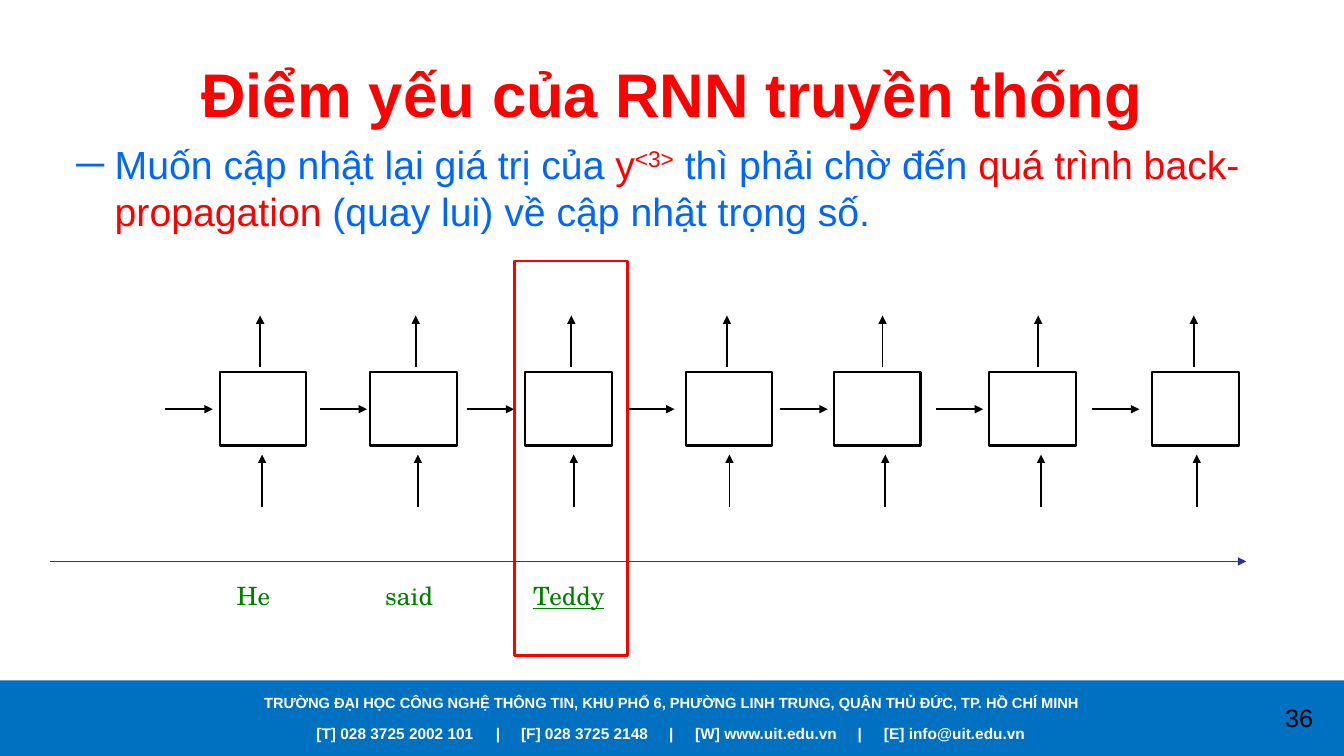
from dataclasses import dataclass

import pptx
import pptx.dml.color
import pptx.enum.shapes
import pptx.enum.text
import pptx.oxml
import pptx.oxml.ns
import pptx.util

Inches = pptx.util.Inches
Pt = pptx.util.Pt
qn = pptx.oxml.ns.qn
ALIGN = pptx.enum.text.PP_ALIGN
ANCHOR = pptx.enum.text.MSO_ANCHOR
RECTANGLE = pptx.enum.shapes.MSO_SHAPE.RECTANGLE


@dataclass(frozen=True)
class Theme:
    red: str = "FF0000"
    blue: str = "0066FF"
    green: str = "008000"
    black: str = "000000"
    white: str = "FFFFFF"
    footer: str = "0070C0"
    axis: str = "2F2F98"
    font: str = "Arial"
    word_font: str = "TeX Gyre Schola"
    title: float = 44
    body: float = 28
    label: float = 18
    contact: float = 11
    address: float = 10.5


THEME = Theme()

CELL_LEFTS = (2.18, 3.67, 5.21, 6.8, 8.27, 9.81, 11.43)
STATE_ARROW_LEFTS = (1.64, 3.17, 4.63, 6.22, 7.74, 9.28, 10.83)
WORDS = (("He", 2.25, 0.54, False), ("said", 3.72, 0.68, False), ("Teddy", 5.19, 0.92, True))
CONTACTS = ("[T] 028 3725 2002 101", "[F] 028 3725 2148", "[W] www.uit.edu.vn", "[E] info@uit.edu.vn")
CONTACT_TABS = (2.26, 3.28, 4.14, 5.0, 5.94, 6.87, 7.81)


def rgb(color):
    return pptx.dml.color.RGBColor.from_string(color)


def add_text(slide, box, runs, *, size, color=THEME.black, font=THEME.font, bold=False,
             underline=False, align=ALIGN.LEFT, anchor=ANCHOR.TOP, wrap=True, bullet=None, tabs=()):
    """Add one paragraph; runs is a string or a list of (text, color, baseline)."""
    shape = slide.shapes.add_textbox(*map(Inches, box))
    frame = shape.text_frame
    frame.word_wrap = wrap
    frame.vertical_anchor = anchor
    paragraph = frame.paragraphs[0]
    paragraph.alignment = align
    properties = paragraph._p.get_or_add_pPr()
    if bullet:
        properties.set("marL", str(Inches(0.38)))
        properties.set("indent", str(-Inches(0.38)))
        pptx.oxml.ns  # namespace helpers
        properties.append(new_element("a:buFont", typeface=THEME.font))
        properties.append(new_element("a:buChar", char=bullet))
    if tabs:
        tab_list = new_element("a:tabLst")
        for position in tabs:
            tab_list.append(new_element("a:tab", pos=str(Inches(position)), algn="ctr"))
        properties.append(tab_list)
    if isinstance(runs, str):
        runs = [(runs, color, 0)]
    for text, run_color, baseline in runs:
        run = paragraph.add_run()
        run.text = text
        run.font.name = font
        run.font.size = Pt(size)
        run.font.bold = bold
        run.font.underline = underline
        run.font.color.rgb = rgb(run_color)
        if baseline:
            run._r.get_or_add_rPr().set("baseline", str(baseline * 1000))


def new_element(tag, **attributes):
    element = pptx.oxml.parse_xml(f'<{tag} xmlns:a="{pptx.oxml.ns.nsuri("a")}"/>')
    for name, value in attributes.items():
        element.set(name, value)
    return element


def add_rectangle(slide, box, *, fill=None, line=None, width=1.5):
    shape = slide.shapes.add_shape(RECTANGLE, *map(Inches, box))
    shape.shadow.inherit = False
    if fill:
        shape.fill.solid()
        shape.fill.fore_color.rgb = rgb(fill)
    else:
        shape.fill.background()
    if line:
        shape.line.color.rgb = rgb(line)
        shape.line.width = Pt(width)
    else:
        shape.line.fill.background()


def add_arrow(slide, start, end, *, color=THEME.black, width=1.25):
    straight = pptx.enum.shapes.MSO_CONNECTOR.STRAIGHT
    arrow = slide.shapes.add_connector(straight, *map(Inches, (*start, *end)))
    arrow.line.color.rgb = rgb(color)
    arrow.line.width = Pt(width)
    properties = arrow._element.spPr
    properties.find(qn("a:ln")).append(new_element("a:tailEnd", type="triangle"))
    properties.append(new_element("a:effectLst"))


def add_up_arrows(slide, first, last, bottom, top):
    """Spread one upward arrow per cell evenly from first to last."""
    count = len(CELL_LEFTS)
    for index in range(count):
        x = first + index * (last - first) / (count - 1)
        add_arrow(slide, (x, bottom), (x, top))


def add_footer(slide):
    add_rectangle(slide, (0, 6.75, 13.33, 0.75), fill=THEME.footer)
    add_text(slide, (0, 6.83, 13.33, 0.28),
             "TRƯỜNG ĐẠI HỌC CÔNG NGHỆ THÔNG TIN, KHU PHỐ 6, PHƯỜNG LINH TRUNG, "
             "QUẬN THỦ ĐỨC, TP. HỒ CHÍ MINH",
             size=THEME.address, color=THEME.white, bold=True, align=ALIGN.CENTER)
    add_text(slide, (1.56, 7.13, 10.22, 0.29), "\t" + "\t|\t".join(CONTACTS),
             size=THEME.contact, color=THEME.white, bold=True, tabs=CONTACT_TABS)
    add_text(slide, (12.44, 6.92, 0.89, 0.4), "36", size=THEME.label, align=ALIGN.CENTER)


def add_network(slide):
    for left in CELL_LEFTS:
        add_rectangle(slide, (left, 3.69, 0.86, 0.73), line=THEME.black)
    for left in STATE_ARROW_LEFTS:
        add_arrow(slide, (left, 4.06), (left + 0.47, 4.06))
    add_up_arrows(slide, 2.58, 11.84, 3.64, 3.13)
    add_up_arrows(slide, 2.6, 11.87, 5.03, 4.51)
    for word, left, width, underline in WORDS:
        add_text(slide, (left, 5.71, width, 0.4), word, size=THEME.label, color=THEME.green,
                 font=THEME.word_font, underline=underline, wrap=False)


def main():
    presentation = pptx.Presentation()
    presentation.slide_width = Inches(13.33)
    presentation.slide_height = Inches(7.5)
    slide = presentation.slides.add_slide(presentation.slide_layouts[6])

    add_footer(slide)
    add_text(slide, (0.67, 0.3, 12, 1.25), "Điểm yếu của RNN truyền thống", size=THEME.title,
             color=THEME.red, bold=True, align=ALIGN.CENTER, anchor=ANCHOR.MIDDLE)
    add_text(slide, (0.66, 1.34, 12, 4.95), [
        ("Muốn cập nhật lại giá trị của ", THEME.blue, 0),
        ("y", THEME.red, 0),
        ("<3>", THEME.red, 30),
        (" thì phải chờ đến ", THEME.blue, 0),
        ("quá trình back-propagation", THEME.red, 0),
        (" (quay lui) về cập nhật trọng số.", THEME.blue, 0),
    ], size=THEME.body, bullet="─")
    add_network(slide)
    add_rectangle(slide, (5.1, 2.59, 1.12, 3.91), line=THEME.red, width=2)
    add_arrow(slide, (0.5, 5.57), (12.36, 5.57), color=THEME.axis, width=0.75)
    presentation.save("out.pptx")


if __name__ == "__main__":
    main()
